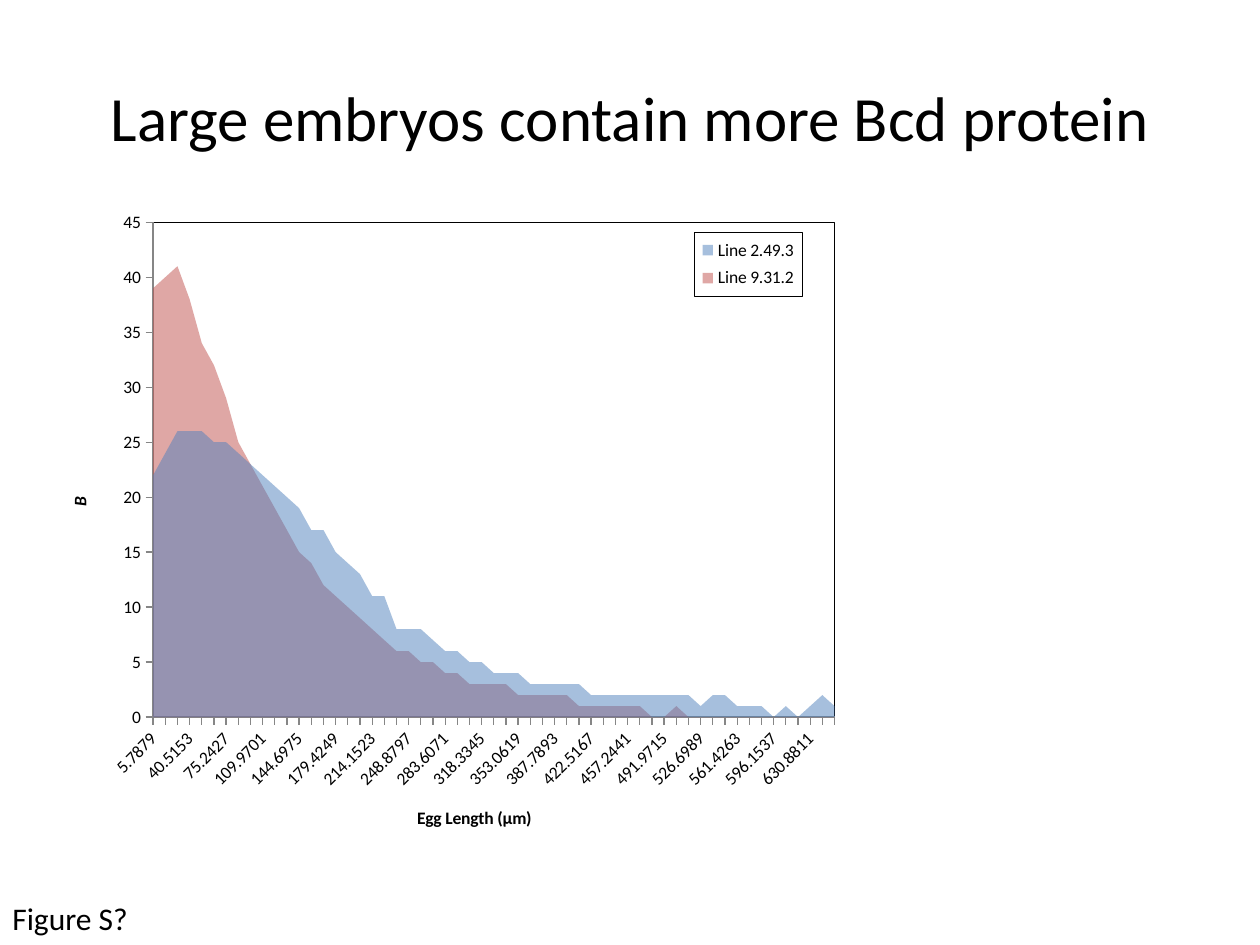
from lxml.etree import SubElement
from pptx import Presentation
from pptx.chart.data import CategoryChartData
from pptx.dml.color import RGBColor
from pptx.enum.chart import XL_CHART_TYPE, XL_LEGEND_POSITION, XL_TICK_MARK
from pptx.enum.text import MSO_ANCHOR, MSO_AUTO_SIZE, PP_ALIGN
from pptx.oxml import parse_xml
from pptx.oxml.ns import nsdecls, qn
from pptx.util import Cm, Pt

BLACK = RGBColor(0x00, 0x00, 0x00)
GRAY = RGBColor(0x86, 0x86, 0x86)
BLUE = RGBColor(0x4F, 0x81, 0xBD)
RED = RGBColor(0xC0, 0x50, 0x4D)
FONT = "Calibri"

LARGE_LINE = [
    22, 24, 26, 26, 26, 25, 25, 24, 23, 22, 21, 20, 19, 17, 17, 15, 14, 13, 11,
    11, 8, 8, 8, 7, 6, 6, 5, 5, 4, 4, 4, 3, 3, 3, 3, 3, 2, 2,
    2, 2, 2, 2, 2, 2, 2, 1, 2, 2, 1, 1, 1, 0, 1, 0, 1, 2, 1,
]
SMALL_LINE = [
    39, 40, 41, 38, 34, 32, 29, 25, 23, 21, 19, 17, 15, 14, 12, 11, 10, 9, 8,
    7, 6, 6, 5, 5, 4, 4, 3, 3, 3, 3, 2, 2, 2, 2, 2, 1, 1, 1,
    1, 1, 1, 0, 0, 1, 0, -2,
]
BIN_WIDTH = 11.5758


def add_text(slide, box, text, size):
    """Add a text box holding one run and return it."""
    shape = slide.shapes.add_textbox(*[Cm(length) for length in box])
    run = shape.text_frame.paragraphs[0].add_run()
    run.text = text
    run.font.name = FONT
    run.font.size = Pt(size)
    run.font.color.rgb = BLACK
    return shape


def place(element, before, target=None, **fractions):
    """Give a chart part a manual layout, after its child named before."""
    for old in element.findall(qn("c:layout")):
        element.remove(old)
    layout = parse_xml(f"<c:layout {nsdecls('c')}><c:manualLayout/></c:layout>")
    manual = layout[0]
    if target:
        SubElement(manual, qn("c:layoutTarget")).set("val", target)
    for side in "xy":
        SubElement(manual, qn(f"c:{side}Mode")).set("val", "edge")
    for side, fraction in fractions.items():
        SubElement(manual, qn(f"c:{side}")).set("val", str(fraction))
    if before:
        element.find(qn(before)).addnext(layout)
    else:
        element.insert(0, layout)


presentation = Presentation()
presentation.slide_width = Cm(25.4)
presentation.slide_height = Cm(19.05)
slide = presentation.slides.add_slide(presentation.slide_layouts[6])

# Heading
heading = add_text(slide, (1.27, 0.76, 22.86, 3.18),
                   "Large embryos contain more Bcd protein", 36)
heading.text_frame.word_wrap = True
heading.text_frame.vertical_anchor = MSO_ANCHOR.MIDDLE
heading.text_frame.paragraphs[0].alignment = PP_ALIGN.CENTER

# Protein profile chart
data = CategoryChartData()
data.categories = [f"{BIN_WIDTH * (i + 0.5):.4f}" for i in range(len(LARGE_LINE))]
data.add_series("Line 2.49.3", LARGE_LINE)
data.add_series("Line 9.31.2",
                SMALL_LINE + [None] * (len(LARGE_LINE) - len(SMALL_LINE)))
chart = slide.shapes.add_chart(XL_CHART_TYPE.AREA, Cm(0.85), Cm(4.02),
                               Cm(18.64), Cm(13.18), data).chart
chart.has_title = False
chart.font.name = FONT
chart.font.size = Pt(10)
chart.font.color.rgb = BLACK
chart.plots[0].vary_by_categories = False

for series, color in zip(chart.plots[0].series, (BLUE, RED)):
    series.format.fill.solid()
    series.format.fill.fore_color.rgb = color
    solid_color = series.format.fill.fore_color._xFill[0]
    SubElement(solid_color, qn("a:alpha")).set("val", "50000")
    series.format.line.fill.background()

# Axes
axis_titles = (
    (chart.category_axis, "Egg Length (µm)", False, 0.402, 0.924),
    (chart.value_axis, "B", True, 0.025, 0.45),
)
for axis, text, italic, x, y in axis_titles:
    axis.has_major_gridlines = False
    axis.major_tick_mark = XL_TICK_MARK.OUTSIDE
    axis.minor_tick_mark = XL_TICK_MARK.NONE
    axis.format.line.color.rgb = GRAY
    axis.has_title = True
    run = axis.axis_title.text_frame.paragraphs[0].add_run()
    run.text = text
    run.font.name = FONT
    run.font.size = Pt(10)
    run.font.bold = True
    run.font.italic = italic
    run.font.color.rgb = BLACK
    place(axis.axis_title._element, "c:tx", x=x, y=y)

value_axis = chart.value_axis
value_axis.minimum_scale = 0
value_axis.maximum_scale = 45
value_axis.major_unit = 5
value_axis._element.find(qn("c:crossBetween")).set("val", "midCat")
value_axis.axis_title.text_frame._txBody.bodyPr.set("rot", "-5400000")

category_axis = chart.category_axis
category_axis.tick_labels.font.size = Pt(10)
category_axis._element.find(qn("c:txPr")).bodyPr.set("rot", "-2700000")
no_multi_level = category_axis._element.find(qn("c:noMultiLvlLbl"))
for tag, step in (("tickLblSkip", 3), ("tickMarkSkip", 1)):
    skip = parse_xml(f'<c:{tag} {nsdecls("c")} val="{step}"/>')
    if no_multi_level is None:
        category_axis._element.append(skip)
    else:
        no_multi_level.addprevious(skip)

# Legend and plot frame
chart.has_legend = True
chart.legend.position = XL_LEGEND_POSITION.RIGHT
chart.legend.include_in_layout = False
chart.legend.font.size = Pt(10)
place(chart.legend._element, "c:legendPos", x=0.705, y=0.05, w=0.117, h=0.098)
plot_area = chart._chartSpace.chart.plotArea
place(plot_area, None, target="inner", x=0.12, y=0.035, w=0.737, h=0.757)

frame = (f'<c:spPr {nsdecls("c", "a")}><a:noFill/><a:ln w="3175"><a:solidFill>'
         f'<a:srgbClr val="{BLACK}"/></a:solidFill></a:ln></c:spPr>')
plot_area.append(parse_xml(frame))
chart.legend._element.find(qn("c:txPr")).addprevious(parse_xml(frame))

# Figure label
label = add_text(slide, (0, 17.99, 2.87, 1.8), "Figure S?", 18)
label.text_frame.word_wrap = False
label.text_frame.auto_size = MSO_AUTO_SIZE.SHAPE_TO_FIT_TEXT

presentation.save("out.pptx")
